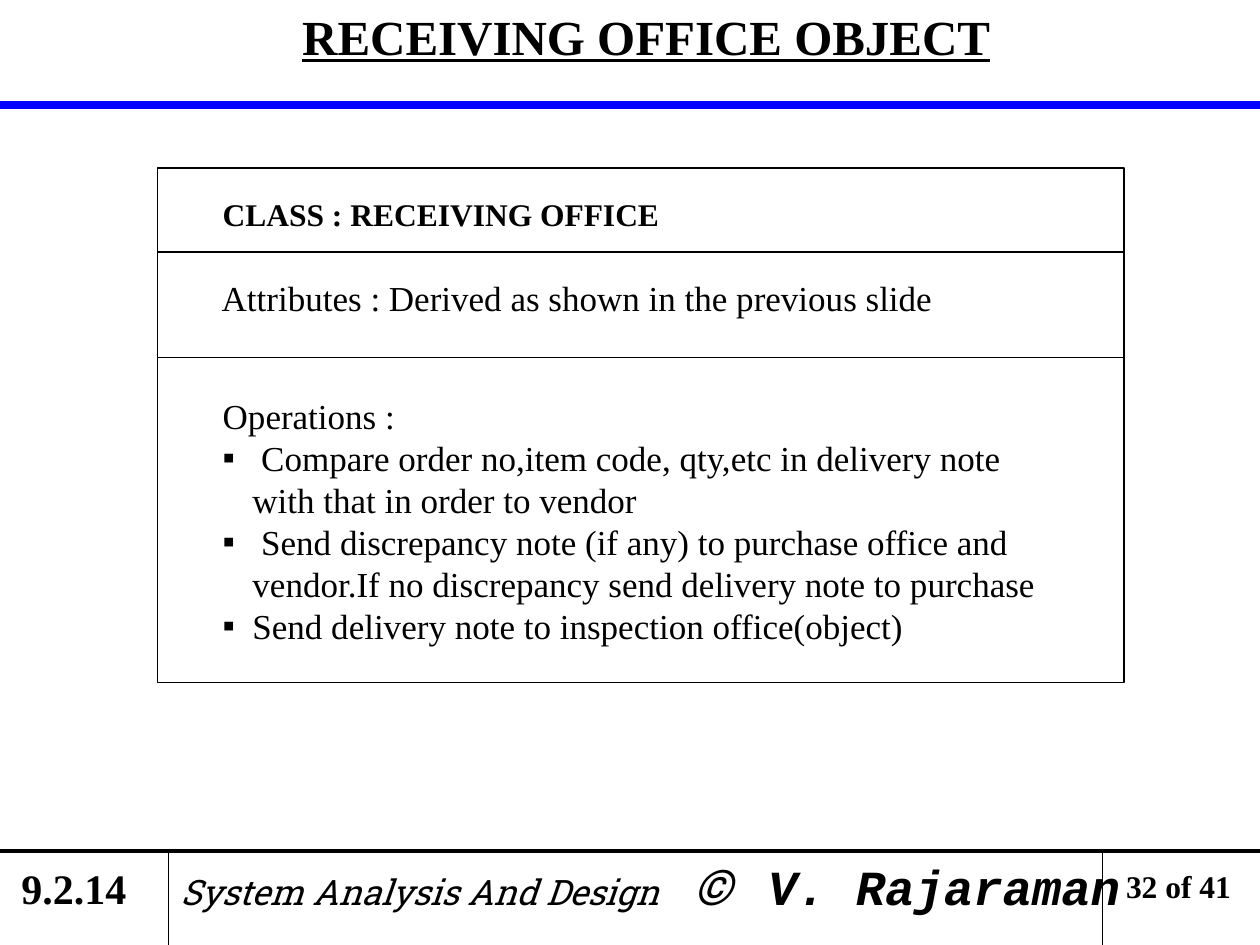
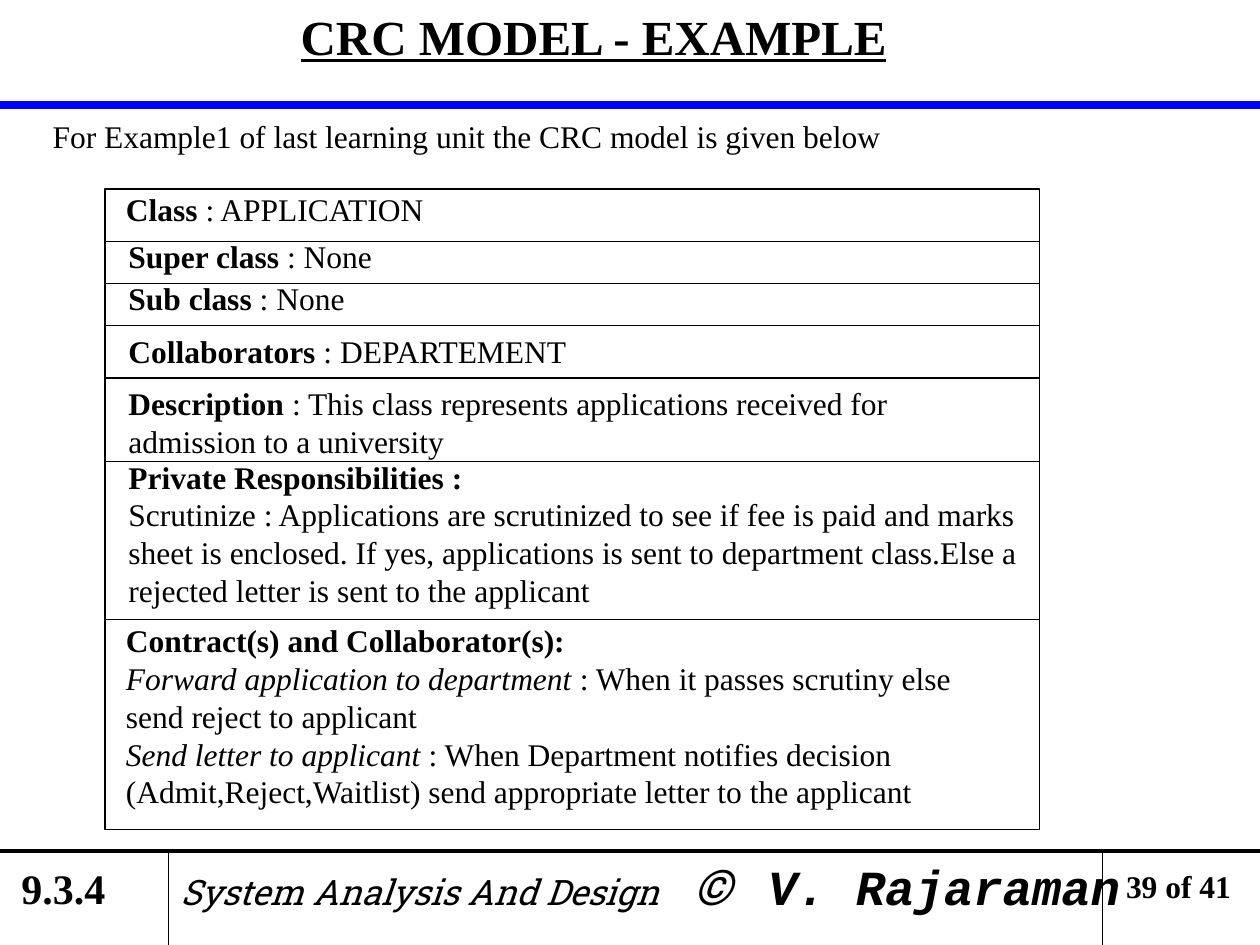
from lxml import etree
from pptx import Presentation
from pptx.dml.color import RGBColor
from pptx.enum.shapes import MSO_CONNECTOR, MSO_SHAPE
from pptx.enum.text import MSO_ANCHOR, MSO_AUTO_SIZE, PP_ALIGN
from pptx.oxml.ns import qn
from pptx.util import Cm, Pt

STRAIGHT = MSO_CONNECTOR.STRAIGHT
RECTANGLE = MSO_SHAPE.RECTANGLE
TOP = MSO_ANCHOR.TOP
FIT_SHAPE = MSO_AUTO_SIZE.SHAPE_TO_FIT_TEXT
NO_FIT = MSO_AUTO_SIZE.NONE
CENTER = PP_ALIGN.CENTER

BLACK = RGBColor(0x00, 0x00, 0x00)
BLUE = RGBColor(0x00, 0x00, 0xFF)
SERIF = "Times New Roman"
SLAB = "Roboto Slab"
MONO = "Courier New"

SLIDE_W, SLIDE_H = 25.4, 19.05
BAND_Y = 2.12
FOOTER_Y = 17.15
FOOTER_TABS = (10.32, 11.84)
BULLET_INDENT = 0.6

# Text formats
BODY = {"name": SERIF, "size": Pt(18), "bold": False, "italic": False}
LARGE = {**BODY, "size": Pt(20)}
BOLD = {**BODY, "bold": True}
ITALIC = {**BODY, "italic": True}
TITLE = {**BOLD, "size": Pt(28), "underline": True}
SECTION = {**BOLD, "size": Pt(24)}
COURSE = {"name": SLAB, "size": Pt(20), "italic": True}
COPYRIGHT = {**COURSE, "size": Pt(28)}
AUTHOR = {**COPYRIGHT, "name": MONO, "bold": True}


def add_run(p, text, fmt):
    r = p.add_run()
    r.text = text
    for key, value in fmt.items():
        setattr(r.font, key, value)
    r.font.color.rgb = BLACK


def add_tabs(p, stops):
    tabs = etree.SubElement(p._p.get_or_add_pPr(), qn("a:tabLst"))
    for stop in stops:
        etree.SubElement(tabs, qn("a:tab"), pos=str(Cm(stop)), algn="l")


def add_bullet(p):
    pPr = p._p.get_or_add_pPr()
    pPr.set("marL", str(Cm(BULLET_INDENT)))
    pPr.set("indent", str(-Cm(BULLET_INDENT)))
    etree.SubElement(pPr, qn("a:buFont"), typeface=SERIF)
    etree.SubElement(pPr, qn("a:buChar"), char="▪")


def add_text(s, left, top, width, height, paragraphs, wrap=False):
    """Each paragraph is a list of (text, format) runs."""
    box = s.shapes.add_textbox(Cm(left), Cm(top), Cm(width), Cm(height))
    tf = box.text_frame
    tf.word_wrap = wrap
    tf.auto_size = FIT_SHAPE
    for i, runs in enumerate(paragraphs):
        p = tf.add_paragraph() if i else tf.paragraphs[0]
        for text, fmt in runs:
            add_run(p, text, fmt)
    return tf


def add_line(s, x1, y1, x2, y2, color=BLACK, weight=0.75):
    line = s.shapes.add_connector(STRAIGHT, Cm(x1), Cm(y1), Cm(x2), Cm(y2))
    line.line.color.rgb = color
    line.line.width = Pt(weight)
    etree.SubElement(line._element.spPr, qn("a:effectLst"))


def add_class_box(s, left, top, width, height, dividers):
    sp = s.shapes.add_shape(RECTANGLE, Cm(left), Cm(top), Cm(width), Cm(height))
    sp.shadow.inherit = False
    sp.fill.background()
    sp.line.color.rgb = BLACK
    sp.line.width = Pt(0.75)
    for y in dividers:
        add_line(s, left, y, left + width, y)


def add_title(s, text, left):
    title = s.shapes.title
    title.left, title.top = Cm(left), Cm(0)
    title.width, title.height = Cm(23.93), Cm(1.45)
    tf = title.text_frame
    tf.auto_size = NO_FIT
    tf.vertical_anchor = TOP
    p = tf.paragraphs[0]
    p.alignment = CENTER
    add_run(p, text, TITLE)


def add_footer(s, section, section_width, page):
    add_line(s, 0, FOOTER_Y, SLIDE_W, FOOTER_Y, weight=2.25)
    for x in (3.39, 22.23):
        add_line(s, x, FOOTER_Y, x, SLIDE_H)
    add_text(s, 0.18, 17.27, section_width, 1.27, [[(section, SECTION)]])
    tf = add_text(s, 3.39, FOOTER_Y, 19.6, 1.45, [[
        ("System Analysis And Design\t", COURSE),
        ("©\t", COPYRIGHT),
        ("V. Rajaraman", AUTHOR)]], wrap=True)
    add_tabs(tf.paragraphs[0], FOOTER_TABS)
    add_text(s, 22.45, 17.35, 2.75, 1.02, [[(f"{page} of 41", BOLD)]])


def new_slide(prs, title, title_left, section, section_width, page):
    s = prs.slides.add_slide(prs.slide_layouts[5])
    add_title(s, title, title_left)
    add_line(s, 0, BAND_Y, SLIDE_W, BAND_Y, BLUE, 4.5)
    add_footer(s, section, section_width, page)
    return s


def receiving_office(prs):
    s = new_slide(prs, "RECEIVING OFFICE OBJECT", 1.06, "9.2.14", 2.75, 32)
    add_class_box(s, 3.18, 3.39, 19.48, 10.37, (5.08, 7.2))
    add_text(s, 4.24, 3.81, 9.5, 1.02, [[("CLASS : RECEIVING OFFICE", BOLD)]])
    add_text(s, 4.22, 5.44, 15, 1.12,
             [[("Attributes : Derived as shown in the previous slide", LARGE)]])

    # Operations, the first line being the heading
    operations = (
        "Operations :",
        " Compare order no,item code, qty,etc in delivery note with that in "
        "order to vendor",
        " Send discrepancy note (if any) to purchase office and vendor.If no "
        "discrepancy send delivery note to purchase",
        "Send delivery note to inspection office(object)",
    )
    tf = add_text(s, 4.24, 7.83, 16.97, 5.33,
                  [[(text, LARGE)] for text in operations], wrap=True)
    for p in tf.paragraphs[1:]:
        add_bullet(p)


def crc_example(prs):
    s = new_slide(prs, "CRC MODEL - EXAMPLE", 0, "9.3.4", 2.35, 39)
    add_text(s, 0.81, 2.24, 17.4, 1.02, [[(
        "For Example1 of last learning unit the CRC model is given below",
        BODY)]])
    add_class_box(s, 2.12, 3.81, 18.84, 12.91,
                  (4.87, 5.72, 6.56, 7.62, 9.31, 12.49))

    # Short fields on one line each
    fields = (
        (2.29, 3.71, 6.8, "Class", "APPLICATION"),
        (2.34, 4.66, 5.6, "Super class", "None"),
        (2.34, 5.5, 5, "Sub class", "None"),
        (2.34, 6.56, 9.6, "Collaborators", "DEPARTEMENT"),
    )
    for left, top, width, label, value in fields:
        add_text(s, left, top, width, 1.02,
                 [[(label, BOLD), (f" : {value}", BODY)]])

    # Longer fields
    add_text(s, 2.34, 7.62, 18.47, 1.78, [[
        ("Description ", BOLD),
        (": This class represents applications received for admission to a "
         "university", BODY)]], wrap=True)
    add_text(s, 2.34, 9.1, 18.47, 3.3, [
        [("Private Responsibilities :", BOLD)],
        [("Scrutinize : Applications are scrutinized to see if fee is paid "
          "and marks sheet is enclosed. If yes, applications is sent to "
          "department class.Else a rejected letter is sent to the applicant",
          BODY)]], wrap=True)
    add_text(s, 2.29, 12.4, 18.24, 4.06, [
        [("Contract(s) and Collaborator(s):", BOLD)],
        [("Forward application to department", ITALIC),
         (" : When it passes scrutiny else send reject to applicant", BODY)],
        [("Send letter to applicant", ITALIC),
         (" : When Department notifies decision (Admit,Reject,Waitlist) send "
          "appropriate letter to the applicant", BODY)]], wrap=True)


def main():
    prs = Presentation()
    prs.slide_width, prs.slide_height = Cm(SLIDE_W), Cm(SLIDE_H)
    receiving_office(prs)
    crc_example(prs)
    prs.save("out.pptx")


if __name__ == "__main__":
    main()
